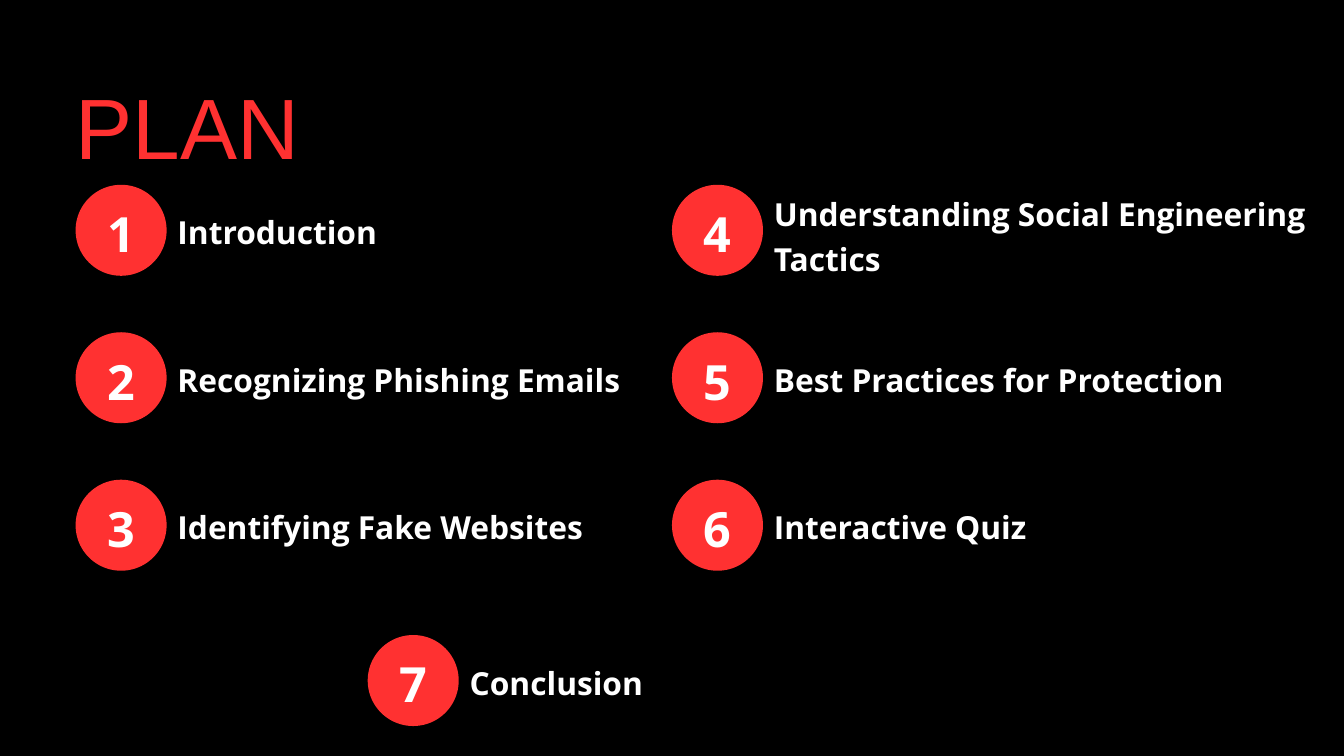
from dataclasses import dataclass

from pptx import Presentation
from pptx import util as u
from pptx.dml.color import RGBColor
from pptx.enum import shapes, text

Pt = u.Pt


@dataclass(frozen=True)
class Theme:
    back = RGBColor(0x00, 0x00, 0x00)
    red = RGBColor(0xFF, 0x31, 0x31)
    head = dict(name="Arial", size=Pt(91.7), color=red)
    num = dict(name="Open Sans", size=Pt(52), bold=True,
               color=RGBColor(0xFF, 0xFF, 0xFF))
    label = dict(num, size=Pt(34))


# Agenda grid, in points
DISC = 97.5
TOP, PITCH = 198, 158
COLS = (81, 720)
LAST = (394, 680.4)
LINE = 47.6

# Label, width of its box, number of lines
ITEMS = [
    ("Introduction", 216, 1),
    ("Recognizing Phishing Emails", 476, 1),
    ("Identifying Fake Websites", 437, 1),
    ("Understanding Social Engineering Tactics", 580, 2),
    ("Best Practices for Protection", 485, 1),
    ("Interactive Quiz", 272, 1),
    ("Conclusion", 187, 1),
]


def write(shape, words, style, line, align):
    """Fill a text shape with one formatted paragraph."""
    frame = shape.text_frame
    for side in ("left", "top", "right", "bottom"):
        setattr(frame, f"margin_{side}", 0)
    frame.word_wrap = True
    frame.auto_size = text.MSO_AUTO_SIZE.NONE
    frame.vertical_anchor = text.MSO_ANCHOR.TOP
    para = frame.paragraphs[0]
    para.alignment = align
    para.line_spacing = Pt(line)
    run = para.add_run()
    run.text = words
    for key, val in style.items():
        if key == "color":
            run.font.color.rgb = val
        else:
            setattr(run.font, key, val)


def title(slide, words, box):
    """Place the slide title in the given box."""
    shape = slide.shapes.title
    shape.left, shape.top, shape.width, shape.height = map(Pt, box)
    write(shape, words, Theme.head, 100.8, text.PP_ALIGN.LEFT)


def entry(slide, num, words, wide, lines, left, top):
    """Place a numbered disc and its label from the given corner."""
    # Disc
    disc = slide.shapes.add_shape(shapes.MSO_SHAPE.OVAL,
                                  Pt(left), Pt(top), Pt(DISC), Pt(DISC))
    disc.shadow.inherit = False
    disc.fill.solid()
    disc.fill.fore_color.rgb = Theme.red
    disc.line.fill.background()

    # Number, centred on the disc
    side = 30
    mark = slide.shapes.add_textbox(Pt(left + (DISC - side) / 2),
                                    Pt(top + 10.2), Pt(side), Pt(70))
    write(mark, str(num), Theme.num, 72.8, text.PP_ALIGN.CENTER)

    # Label, raised by half a line for each further line
    drop = 23.6 if lines == 1 else 4.3
    label = slide.shapes.add_textbox(Pt(left + 109.2), Pt(top + drop),
                                     Pt(wide), Pt(LINE * lines - 2.2))
    write(label, words, Theme.label, LINE, text.PP_ALIGN.LEFT)


def agenda(slide):
    """Two columns of three entries, then the last one below."""
    spots = [(x, TOP + PITCH * row) for x in COLS for row in range(3)]
    for num, (item, spot) in enumerate(zip(ITEMS, spots + [LAST]), 1):
        entry(slide, num, *item, *spot)


def main():
    deck = Presentation()
    deck.slide_width, deck.slide_height = Pt(1440), Pt(810)
    slide = deck.slides.add_slide(deck.slide_layouts[5])
    slide.background.fill.solid()
    slide.background.fill.fore_color.rgb = Theme.back
    title(slide, "PLAN", (81, 88, 246, 103))
    agenda(slide)
    deck.save("out.pptx")


if __name__ == "__main__":
    main()
